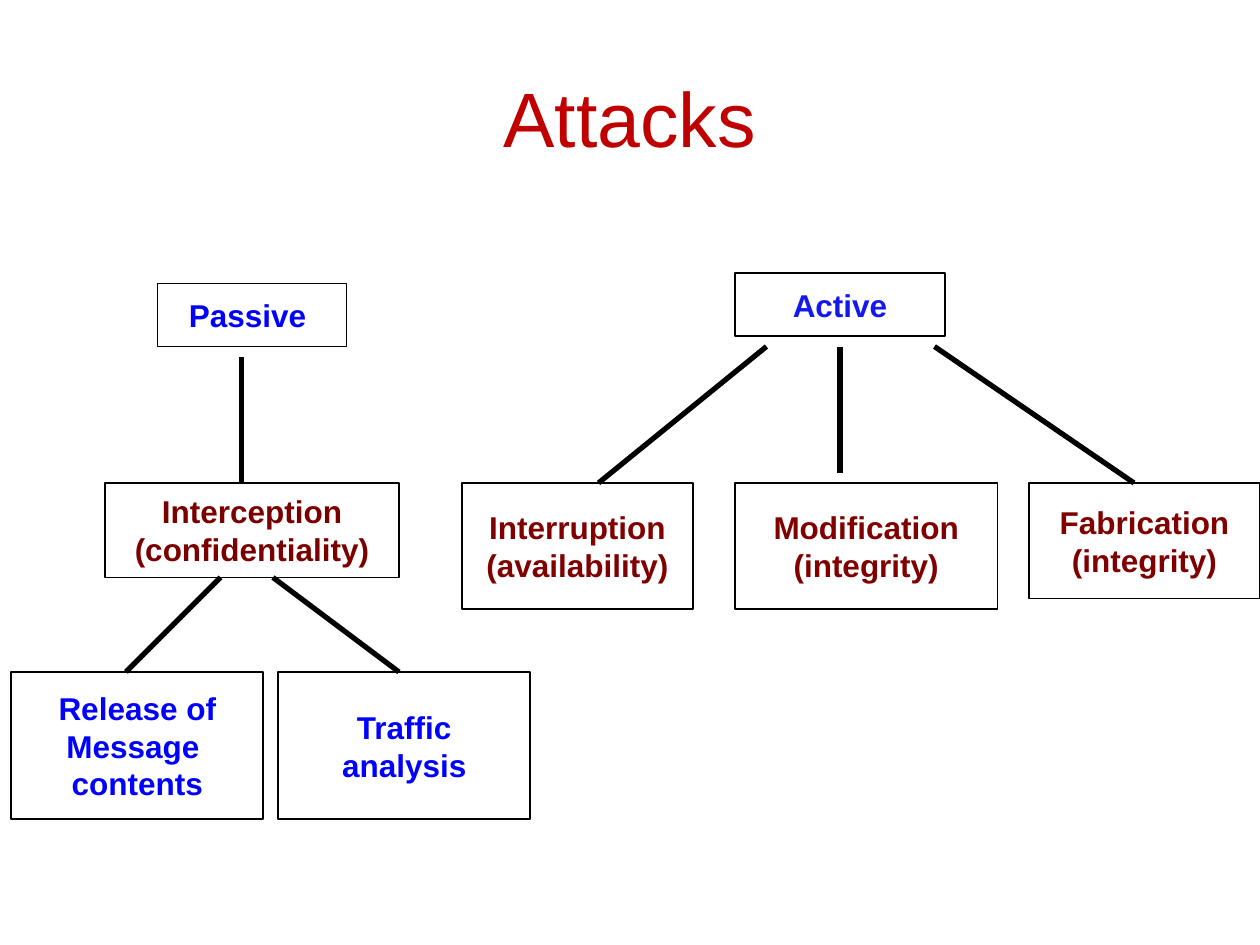
from lxml import etree
from pptx import Presentation
from pptx.dml.color import RGBColor
from pptx.enum.shapes import MSO_CONNECTOR, MSO_SHAPE
from pptx.enum.text import MSO_ANCHOR, PP_ALIGN
from pptx.oxml.ns import qn
from pptx.util import Pt

RECTANGLE = MSO_SHAPE.RECTANGLE
STRAIGHT = MSO_CONNECTOR.STRAIGHT
MIDDLE = MSO_ANCHOR.MIDDLE
CENTER = PP_ALIGN.CENTER

FONT = "Arial"
BLACK = RGBColor(0x00, 0x00, 0x00)
WHITE = RGBColor(0xFF, 0xFF, 0xFF)
TITLE_RED = RGBColor(0xC0, 0x00, 0x00)
BLUE = RGBColor(0x00, 0x00, 0xFF)
ACTIVE_BLUE = RGBColor(0x13, 0x18, 0xF1)
PASSIVE_MAROON = RGBColor(0x7A, 0x00, 0x00)
ACTIVE_MAROON = RGBColor(0x80, 0x00, 0x00)

LEVEL_TWO_TOP = 276
LEVEL_THREE_TOP = 384

PASSIVE_BOXES = [
    ("Passive ", 90, 162, 108, 36, BLUE),
    ("Interception\n(confidentiality)", 60, LEVEL_TWO_TOP, 168, 54, PASSIVE_MAROON),
    ("Release of\nMessage \ncontents", 6.5, LEVEL_THREE_TOP, 144, 84, BLUE),
    ("Traffic\nanalysis", 159, LEVEL_THREE_TOP, 144, 84, BLUE),
]
PASSIVE_BRANCHES = [
    (138, 204, 138, LEVEL_TWO_TOP),
    (126, 330, 72, LEVEL_THREE_TOP),
    (156, 330, 228, LEVEL_THREE_TOP),
]
ACTIVE_BOXES = [
    ("Active", 420, 156, 120, 36, ACTIVE_BLUE),
    ("Modification\n(integrity)", 420, LEVEL_TWO_TOP, 150, 72, ACTIVE_MAROON),
    ("Fabrication\n(integrity)", 588, LEVEL_TWO_TOP, 132, 66, ACTIVE_MAROON),
    ("Interruption\n(availability)", 264, LEVEL_TWO_TOP, 132, 72, ACTIVE_MAROON),
]
ACTIVE_BRANCHES = [
    (438, 198, 342, LEVEL_TWO_TOP),
    (480, 198, 480, 270),
    (534, 198, 648, LEVEL_TWO_TOP),
]


def write_text(shape, text, size, color, bold, wrap):
    text_frame = shape.text_frame
    text_frame.text = text
    text_frame.word_wrap = wrap
    text_frame.vertical_anchor = MIDDLE
    for paragraph in text_frame.paragraphs:
        paragraph.alignment = CENTER
        for run in paragraph.runs:
            run.font.name = FONT
            run.font.size = Pt(size)
            run.font.bold = bold
            run.font.color.rgb = color


def add_title(slide, text):
    title = slide.shapes.add_textbox(Pt(36), Pt(21.6), Pt(648), Pt(90))
    write_text(title, text, 44, TITLE_RED, False, True)


def add_box(shapes, text, left, top, width, height, color):
    box = shapes.add_shape(RECTANGLE, Pt(left), Pt(top), Pt(width), Pt(height))
    box.shadow.inherit = False
    box.fill.solid()
    box.fill.fore_color.rgb = WHITE
    box.line.color.rgb = BLACK
    box.line.width = Pt(1)
    write_text(box, text, 18, color, True, False)


def add_branch(shapes, *ends):
    branch = shapes.add_connector(STRAIGHT, *map(Pt, ends))
    branch.line.color.rgb = BLACK
    branch.line.width = Pt(3)
    etree.SubElement(branch._element.spPr, qn("a:effectLst"))


def add_tree(slide, boxes, branches):
    tree = slide.shapes.add_group_shape()
    for box in boxes:
        add_box(tree.shapes, *box)
    for branch in branches:
        add_branch(tree.shapes, *branch)


def main():
    presentation = Presentation()
    presentation.slide_width = Pt(720)
    presentation.slide_height = Pt(540)
    slide = presentation.slides.add_slide(presentation.slide_layouts[6])
    add_title(slide, "Attacks")
    add_tree(slide, PASSIVE_BOXES, PASSIVE_BRANCHES)
    add_tree(slide, ACTIVE_BOXES, ACTIVE_BRANCHES)
    presentation.save("out.pptx")


if __name__ == "__main__":
    main()
